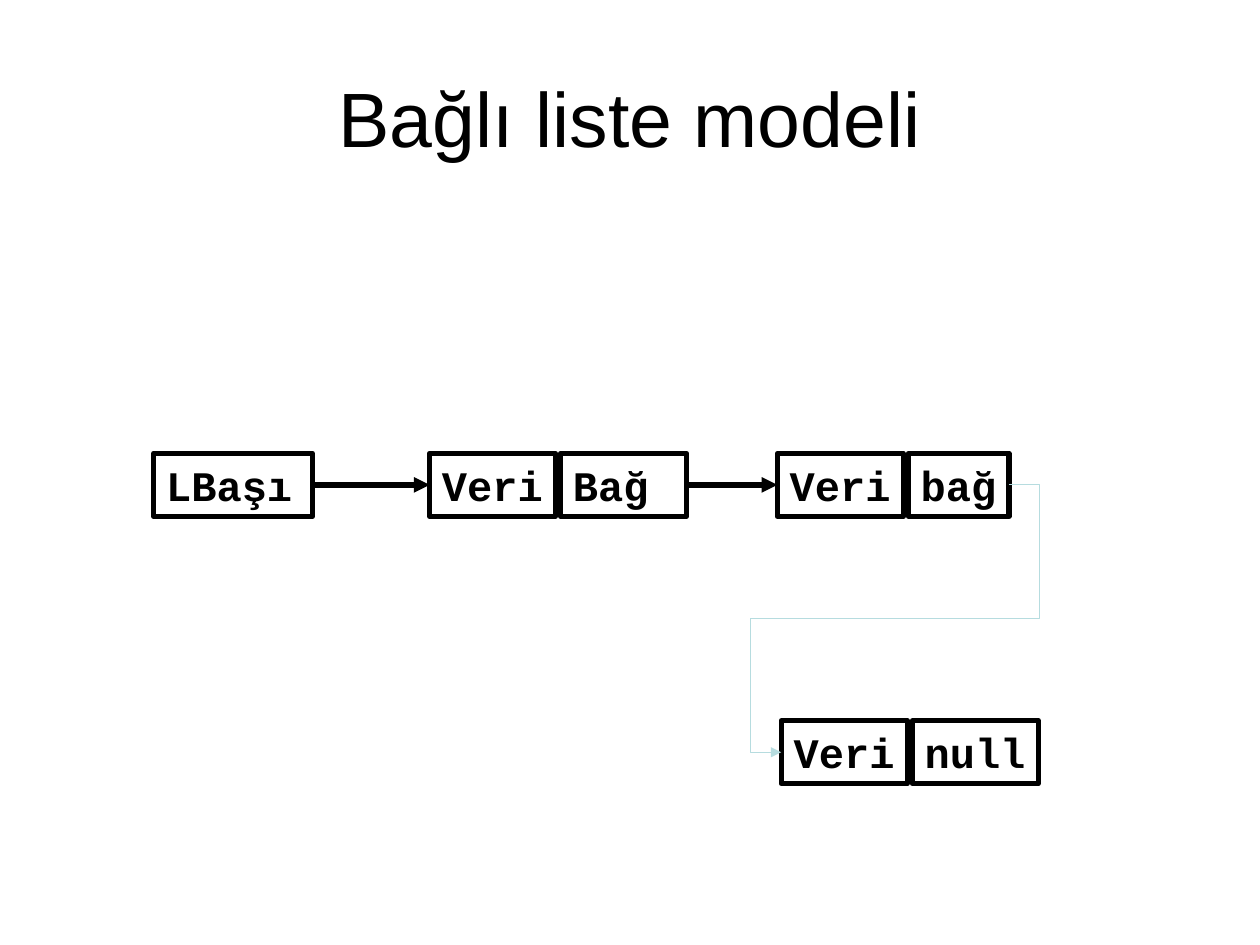
from dataclasses import dataclass
from lxml.etree import SubElement
from pptx import Presentation
from pptx.dml.color import RGBColor
from pptx.enum.shapes import MSO_CONNECTOR, MSO_SHAPE
from pptx.enum.text import MSO_ANCHOR, PP_ALIGN
from pptx.oxml.ns import qn
from pptx.util import Cm, Pt


@dataclass(frozen=True)
class Theme:
    ink = RGBColor(0, 0, 0)
    pale = RGBColor(0xB6, 0xDC, 0xDF)
    head_font = "Arial"
    code_font = "Courier New"
    head_size = Pt(44)
    code_size = Pt(24)
    thick = Pt(3)
    thin = Pt(0.75)


THEME = Theme()
HIGH = 1.27  # height of every cell, cm
GAP = 0.1  # gap between the cells of a node, cm


def add_run(para, text, font, size, bold=False):
    run = para.add_run()
    run.text = text
    run.font.name, run.font.size, run.font.bold = font, size, bold
    run.font.color.rgb = THEME.ink


def add_title(slide, text, left, top, width, height):
    title = slide.shapes.title
    title.left, title.top = Cm(left), Cm(top)
    title.width, title.height = Cm(width), Cm(height)
    title.text_frame.vertical_anchor = MSO_ANCHOR.MIDDLE
    para = title.text_frame.paragraphs[0]
    para.alignment = PP_ALIGN.CENTER
    add_run(para, text, THEME.head_font, THEME.head_size)


def add_cell(shapes, text, left, top, width):
    cell = shapes.add_shape(MSO_SHAPE.RECTANGLE, Cm(left), Cm(top), Cm(width), Cm(HIGH))
    cell.shadow.inherit = False
    cell.fill.background()
    cell.line.color.rgb = THEME.ink
    cell.line.width = THEME.thick
    frame = cell.text_frame
    frame.word_wrap = True
    frame.margin_right = 0
    frame.vertical_anchor = MSO_ANCHOR.TOP
    para = frame.paragraphs[0]
    para.alignment = PP_ALIGN.LEFT
    add_run(para, text, THEME.code_font, THEME.code_size, True)
    return cell


def add_node(slide, left, top, *parts):
    """Group cells side by side; each part is (text, width)."""
    group = slide.shapes.add_group_shape()
    cells = []
    for text, width in parts:
        cells.append(add_cell(group.shapes, text, left, top, width))
        left += width + GAP
    return cells


def style_link(link, color, width):
    link.line.color.rgb = color
    link.line.width = width
    SubElement(link.line._get_or_add_ln(), qn("a:tailEnd"), type="triangle")
    SubElement(link._element.spPr, qn("a:effectLst"))


def add_arrow(slide, start, end):
    link = slide.shapes.add_connector(MSO_CONNECTOR.STRAIGHT, 0, 0, 0, 0)
    link.begin_connect(start, 3)
    link.end_connect(end, 1)
    style_link(link, THEME.ink, THEME.thick)


def add_return(slide, start, end):
    """Bent link from the right of one cell round to the left of a lower one."""
    link = slide.shapes.add_connector(
        MSO_CONNECTOR.ELBOW,
        start.left + start.width, start.top + start.height // 2,
        end.left, end.top + end.height // 2)
    geom = link._element.spPr.find(qn("a:prstGeom"))
    geom.set("prst", "bentConnector5")
    guides = geom.get_or_add_avLst()
    for num, value in enumerate((-13500, 50000, 113500), 1):
        SubElement(guides, qn("a:gd"), name=f"adj{num}", fmla=f"val {value}")
    style_link(link, THEME.pale, THEME.thin)


def add_list(slide, left, top):
    # Cells
    head = add_cell(slide.shapes, "LBaşı", left, top, 3.2)
    first = add_node(slide, left + 5.56, top, ("Veri", 2.54), ("Bağ", 2.54))
    second = add_node(slide, left + 12.57, top, ("Veri", 2.54), ("bağ", 2.03))
    last = add_node(slide, left + 12.65, top + 5.39, ("Veri", 2.54), ("null", 2.54))
    # Links
    add_arrow(slide, head, first[0])
    add_arrow(slide, first[1], second[0])
    add_return(slide, second[1], last[0])


def main():
    deck = Presentation()
    deck.slide_width, deck.slide_height = Cm(25.4), Cm(19.05)
    slide = deck.slides.add_slide(deck.slide_layouts[5])
    add_title(slide, "Bağlı liste modeli", 1.27, 0.76, 22.86, 3.18)
    add_list(slide, 3.1, 9.14)
    deck.save("out.pptx")


if __name__ == "__main__":
    main()
